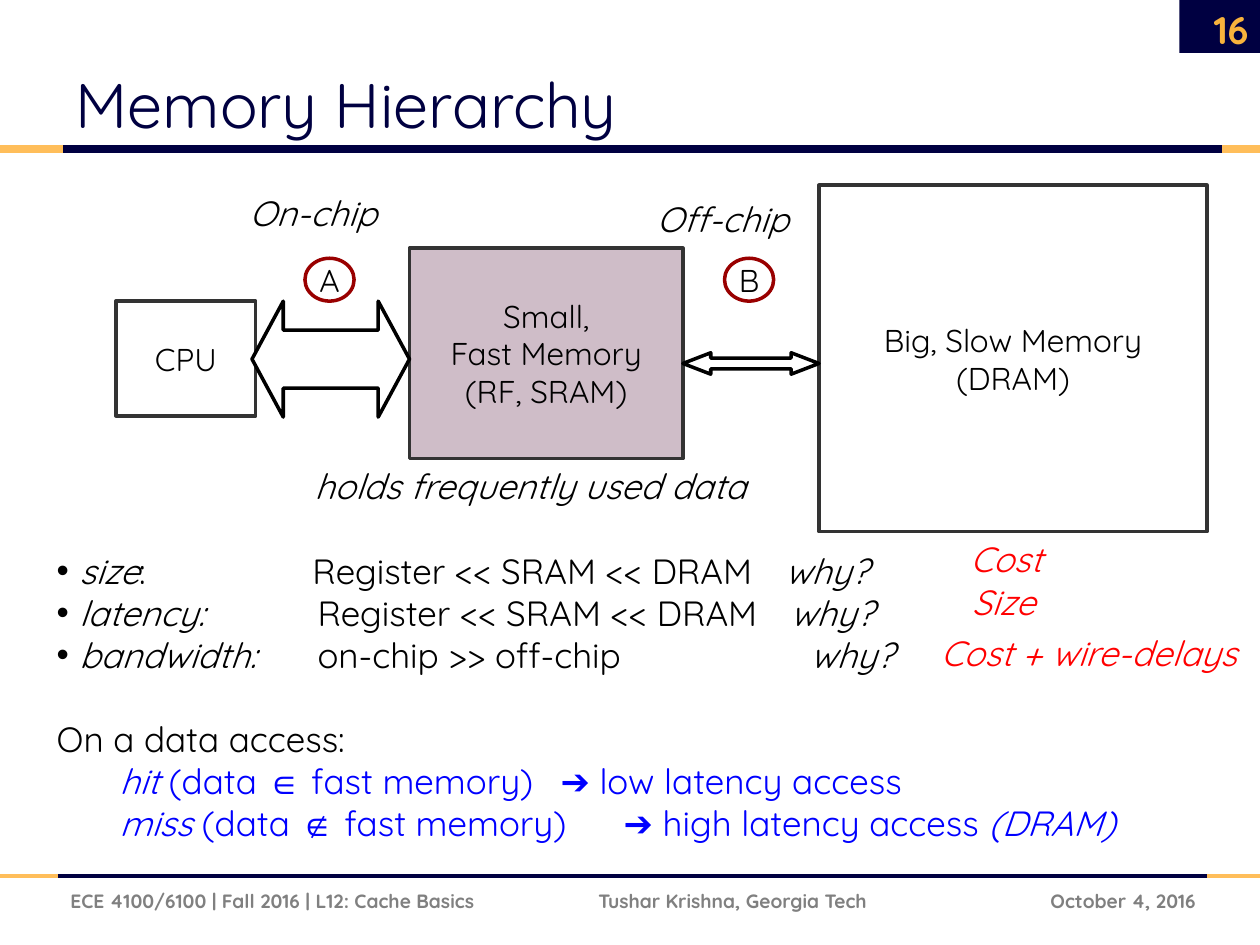
from lxml import etree
from pptx import Presentation
from pptx.dml.color import RGBColor
from pptx.enum.shapes import MSO_CONNECTOR, MSO_SHAPE
from pptx.enum.text import MSO_ANCHOR, MSO_AUTO_SIZE, PP_ALIGN
from pptx.oxml.ns import qn
from pptx.util import Inches, Pt

LEFT, CENTER, RIGHT = PP_ALIGN.LEFT, PP_ALIGN.CENTER, PP_ALIGN.RIGHT
TOP, MIDDLE, BOTTOM = MSO_ANCHOR.TOP, MSO_ANCHOR.MIDDLE, MSO_ANCHOR.BOTTOM
RECT, OVAL, ARROW = MSO_SHAPE.RECTANGLE, MSO_SHAPE.OVAL, MSO_SHAPE.LEFT_RIGHT_ARROW
NAVY, GOLD, BLACK, GRAY = "000041", "FFBE5A", "000000", "808080"
BLUE, RED, DARK_RED, EDGE = "0000FF", "FF0000", "990000", "333333"
FONT = "Quicksand"


def style(r, size, color, bold=False, italic=False, name=FONT):
    r.font.name = name
    r.font.size = Pt(size)
    r.font.bold = bold
    r.font.italic = italic
    r.font.color.rgb = RGBColor.from_string(color)


def write(tf, text, size, color, align=CENTER, anchor=MIDDLE, bold=False, italic=False, wrap=True):
    tf.word_wrap = wrap
    tf.auto_size = MSO_AUTO_SIZE.NONE
    tf.vertical_anchor = anchor
    tf.text = text
    for p in tf.paragraphs:
        p.alignment = align
        for r in p.runs:
            style(r, size, color, bold, italic)


prs = Presentation()
prs.slide_width, prs.slide_height = Inches(10), Inches(7.5)
s = prs.slides.add_slide(prs.slide_layouts[1])

title, body = s.placeholders
for sp, box in ((title, (0.5, 0.17, 8.18, 1)), (body, (0.35, 4.31, 9.33, 2.45))):
    sp.left, sp.top, sp.width, sp.height = [Inches(v) for v in box]
write(title.text_frame, "Memory Hierarchy", 36, NAVY, LEFT, BOTTOM)

for y, x1, x2, weight in ((1.18, 0.5, 9.7, 4.5), (6.95, 0.46, 9.58, 2.25)):
    for start, end, color in ((x1, x2, NAVY), (0, x1, GOLD), (x2, 10, GOLD)):
        rule = s.shapes.add_connector(
            MSO_CONNECTOR.STRAIGHT, Inches(start), Inches(y), Inches(end), Inches(y))
        rule.line.color.rgb = RGBColor.from_string(color)
        rule.line.width = Pt(weight)
        etree.SubElement(rule._element.spPr, qn("a:effectLst"))

shapes = [
    (RECT, 9.36, 0, 0.68, 0.42, NAVY, None, "", ()),
    (RECT, 3.25, 1.97, 2.17, 1.67, "CFBDC8", EDGE, "Small,\nFast Memory\n(RF, SRAM)", ()),
    (RECT, 0.92, 2.39, 1.11, 0.91, "FFFFFF", EDGE, "CPU", ()),
    (RECT, 6.5, 1.47, 3.08, 2.75, "FFFFFF", EDGE, "Big, Slow Memory\n(DRAM)", ()),
    (OVAL, 2.42, 2.05, 0.39, 0.34, "FFFFFF", DARK_RED, "A", ()),
    (OVAL, 5.75, 2.05, 0.39, 0.34, "FFFFFF", DARK_RED, "B", ()),
    (ARROW, 5.42, 2.8, 1.08, 0.17, "FFFFFF", BLACK, "", (0.5, 1.3)),
    (ARROW, 2, 2.39, 1.25, 0.92, "FFFFFF", BLACK, "", (0.5, 0.27)),
]
for kind, x, y, w, h, fill, line, text, adjustments in shapes:
    sp = s.shapes.add_shape(kind, Inches(x), Inches(y), Inches(w), Inches(h))
    sp.shadow.inherit = False
    sp.fill.solid()
    sp.fill.fore_color.rgb = RGBColor.from_string(fill)
    if line:
        sp.line.color.rgb = RGBColor.from_string(line)
        sp.line.width = Pt(2)
    else:
        sp.line.fill.background()
    for i, value in enumerate(adjustments):
        sp.adjustments[i] = value
    if text:
        write(sp.text_frame, text, 18, BLACK, wrap=kind != OVAL)

labels = [
    ("holds frequently used data", 1.92, 3.64, 4.58, BLACK),
    ("On-chip", 1.72, 1.47, 1.53, BLACK),
    ("Off-chip", 4.97, 1.52, 1.53, BLACK),
    ("Cost", 7.22, 4.22, 1.53, RED),
    ("Size", 7.2, 4.56, 1.53, RED),
    ("Cost + wire-delays", 7.12, 4.96, 3.04, RED),
]
for text, x, y, w, color in labels:
    sp = s.shapes.add_textbox(Inches(x), Inches(y), Inches(w), Inches(0.44))
    write(sp.text_frame, text, 20, color, anchor=TOP, italic=True)

footers = [
    ("ECE 4100/6100 | Fall 2016 | L12: Cache Basics", 0.46, 6.95, 4, 11, GRAY, LEFT),
    ("Tushar Krishna, Georgia Tech", 4.65, 6.95, 3, 11, GRAY, LEFT),
    ("October 4, 2016", 7.67, 6.95, 1.92, 11, "7F7F7F", RIGHT),
    ("16", 9.34, 0.03, 0.67, 22, "F8B33C", RIGHT),
]
for text, x, y, w, size, color, align in footers:
    sp = s.shapes.add_textbox(Inches(x), Inches(y), Inches(w), Inches(0.4))
    write(sp.text_frame, text, size, color, align, bold=True)

# Each row: bulleted, left margin, tab stops, space before, colour, (text, italic) runs
rows = [
    (True, 0.18, (2.03, 5.78), 0, BLACK,
     [("size", True), (":\tRegister << SRAM << DRAM\t", False), ("why?", True)]),
    (True, 0.18, (2.07, 5.82), 0, BLACK,
     [("latency:\t", True), ("Register << SRAM << DRAM\t", False), ("why?", True)]),
    (True, 0.18, (2.07, 5.98), 0, BLACK,
     [("bandwidth:", True), ("\ton-chip >> off-chip\t", False), ("why?", True)]),
    (False, 0, (), 24, BLACK, [("On a data access:", False)]),
    (False, 0.5, (4.5,), 0, BLUE,
     [("hit ", True), ("(data ", False), ("∈", False),
      (" fast memory)\t➔ low latency access", False)]),
    (False, 0.5, (4.5,), 0, BLUE,
     [("miss ", True), ("(data ", False), ("∉ ", False),
      ("fast memory)\t➔ high latency access ", False), ("(DRAM)", True)]),
]
tf = body.text_frame
tf.word_wrap = True
tf.auto_size = MSO_AUTO_SIZE.NONE
for i, (bulleted, margin, stops, before, color, runs) in enumerate(rows):
    p = tf.paragraphs[0] if i == 0 else tf.add_paragraph()
    p.space_before = Pt(before)
    pPr = p._p.get_or_add_pPr()
    pPr.set("marL", str(Inches(margin)))
    pPr.set("indent", str(-Inches(margin) if bulleted else 0))
    if bulleted:
        etree.SubElement(pPr, qn("a:buChar"), char="•")
    else:
        etree.SubElement(pPr, qn("a:buNone"))
    tabs = etree.SubElement(pPr, qn("a:tabLst"))
    for stop in stops:
        etree.SubElement(tabs, qn("a:tab"), pos=str(Inches(stop)), algn="l")
    for text, italic in runs:
        r = p.add_run()
        r.text = text
        style(r, 20, color, italic=italic, name="Arial" if text[0] in "∈∉" else FONT)

prs.save("out.pptx")
